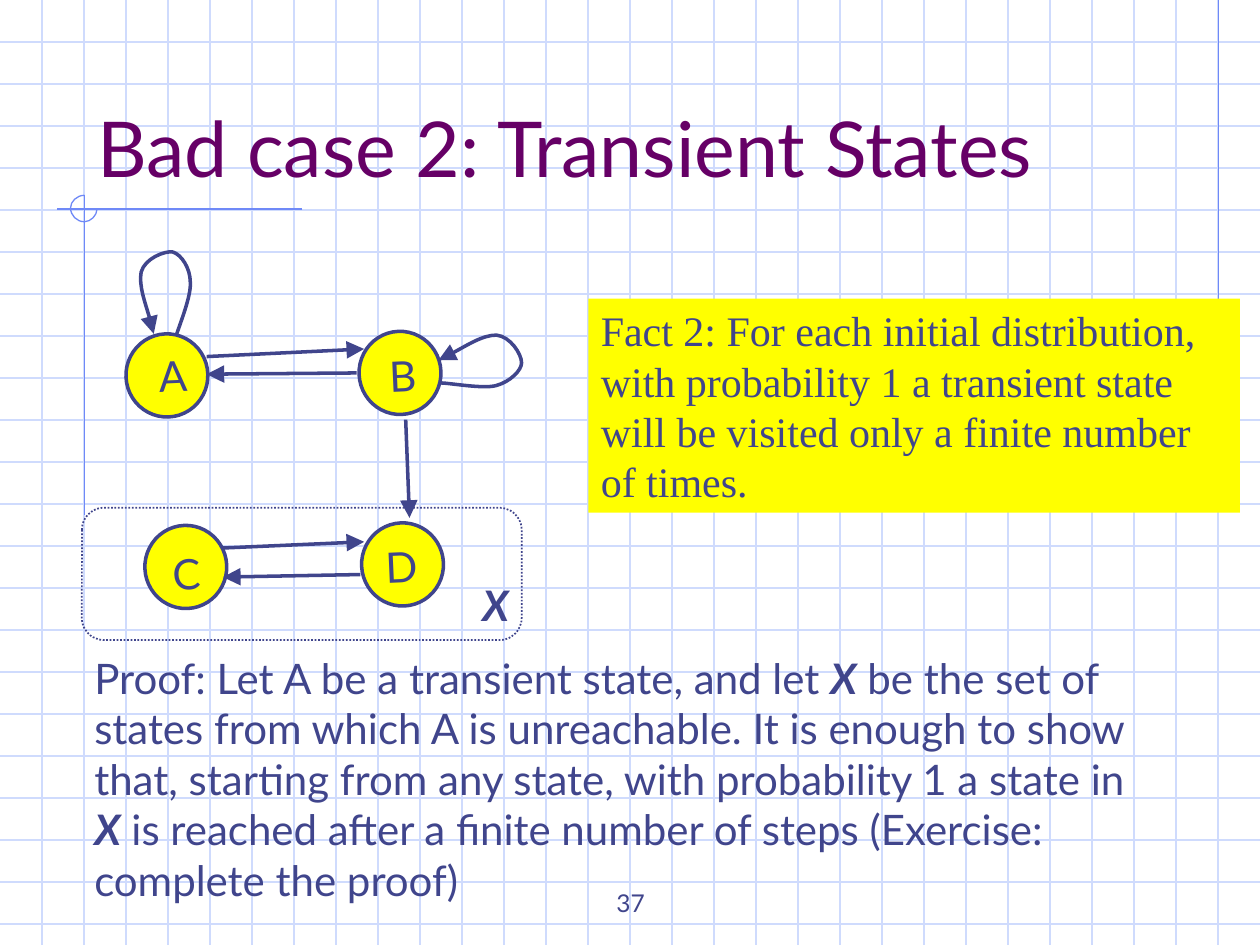
from lxml import etree
from pptx import Presentation
from pptx import util as u
from pptx.dml.color import RGBColor
from pptx.enum import dml, shapes, text
from pptx.oxml.ns import qn

Inches, Pt = u.Inches, u.Pt
INK, YELLOW, GRID, RULE = "40458C", "FFFF00", "CFDBFD", "6F89F7"
TILT = 357.5
rgb = RGBColor.from_string


def draw_path(start, curves, color, width, arrow=False):
    """Draw an unfilled path: straight for one end point, cubic Bezier for control points."""
    if len(curves[0]) == 1:
        (end,) = curves[0]
        sp = s.shapes.add_connector(shapes.MSO_CONNECTOR.STRAIGHT,
                                    *[Inches(v) for v in (*start, *end)])
        etree.SubElement(sp._element.spPr, qn("a:effectLst"))
    else:
        fb = s.shapes.build_freeform(Inches(start[0]), Inches(start[1]))
        fb.add_line_segments([(Inches(c[-1][0]), Inches(c[-1][1])) for c in curves], close=False)
        sp = fb.convert_to_shape()
        # Turn each straight segment into a cubic curve
        for segment, curve in zip(list(sp._element.iter(qn("a:lnTo"))), curves):
            segment.tag = qn("a:cubicBezTo")
            segment.remove(segment[0])
            for x, y in curve:
                etree.SubElement(segment, qn("a:pt"), x=str(Inches(x) - sp.left),
                                 y=str(Inches(y) - sp.top))
        sp.fill.background()
        sp.shadow.inherit = False
    sp.line.color.rgb = rgb(color)
    sp.line.width = Pt(width)
    if arrow:
        etree.SubElement(sp.line._get_or_add_ln(), qn("a:tailEnd"),
                         type="triangle", w="lg", len="lg")


def add_text(box, runs, size=24, font="Lato", wrap=True):
    """Write (words, emphasised) runs in a new text box and return the box."""
    sp = s.shapes.add_textbox(*[Inches(v) for v in box])
    tf = sp.text_frame
    tf.word_wrap = wrap
    for words, emphasised in runs:
        r = tf.paragraphs[0].add_run()
        r.text = words
        r.font.name, r.font.size = font, Pt(size)
        r.font.bold = r.font.italic = emphasised
        r.font.color.rgb = rgb(INK)
    return sp


prs = Presentation()
prs.slide_width, prs.slide_height = Inches(10), Inches(7.5)
s = prs.slides.add_slide(prs.slide_layouts[5])

# Graph paper, every third of an inch
for i in range(1, 23):
    draw_path((0, i / 3), [[(10, i / 3)]], GRID, 0.75)
for i in range(1, 30):
    draw_path((i / 3, 0), [[(i / 3, 7.5)]], GRID, 0.75)

# Margin rules and the open circle where they cross
for start, end in [((9.67, 0), (9.67, 2.58)),
                   ((2.4, 1.66), (0.45, 1.66)),
                   ((0.67, 1.55), (0.67, 4.09))]:
    draw_path(start, [[end]], RULE, 0.75)
draw_path((0.67, 1.55), [[(0.61, 1.55), (0.56, 1.6), (0.56, 1.65)],
                         [(0.56, 1.71), (0.61, 1.76), (0.67, 1.76)],
                         [(0.72, 1.76), (0.77, 1.71), (0.77, 1.66)]], RULE, 0.75)

number = add_text((3.42, 6.83, 3.17, 0.5), [("37", False)], size=14)
number.text_frame.vertical_anchor = text.MSO_ANCHOR.BOTTOM
number.text_frame.paragraphs[0].alignment = text.PP_ALIGN.CENTER

# Title, brought in front of the graph paper
title = s.shapes.title
s.shapes._spTree.append(title._element)
title.left, title.top, title.width, title.height = [Inches(v) for v in (0.67, 0.33, 8.5, 1.25)]
tf = title.text_frame
tf.auto_size = text.MSO_AUTO_SIZE.NONE
tf.vertical_anchor = text.MSO_ANCHOR.BOTTOM
p = tf.paragraphs[0]
p.alignment = text.PP_ALIGN.LEFT
r = p.add_run()
r.text = "Bad case 2: Transient States"
r.font.name, r.font.size = "Lato", Pt(44)
r.font.color.rgb = rgb("660066")

# States: circle corner, then label box
states = {
    "A": ((1, 2.65), (1.16, 2.73, 0.41, 0.5)),
    "B": ((2.85, 2.63), (2.99, 2.73, 0.41, 0.5)),
    "C": ((1.15, 4.17), (1.27, 4.3, 0.41, 0.5)),
    "D": ((2.87, 4.15), (2.96, 4.24, 0.44, 0.5)),
}
for name, ((left, top), label_box) in states.items():
    sp = s.shapes.add_shape(shapes.MSO_SHAPE.OVAL, Inches(left), Inches(top),
                            Inches(0.65), Inches(0.66))
    sp.rotation = TILT
    sp.shadow.inherit = False
    sp.fill.solid()
    sp.fill.fore_color.rgb = rgb(YELLOW)
    sp.line.color.rgb = rgb(INK)
    sp.line.width = Pt(2)
    add_text(label_box, [(name, False)], wrap=False).rotation = TILT

# Transitions between states
for start, end in [((1.64, 2.83), (2.89, 2.77)),
                   ((2.83, 2.96), (1.64, 2.97)),
                   ((3.22, 3.33), (3.25, 4.11)),
                   ((1.76, 4.35), (2.89, 4.3)),
                   ((2.86, 4.56), (1.77, 4.58))]:
    draw_path(start, [[end]], INK, 2, arrow=True)

# Self-loops on A and B
draw_path((1.4, 2.66), [[(1.42, 2.59), (1.52, 2.35), (1.51, 2.24)],
                        [(1.51, 2.13), (1.44, 2.02), (1.37, 2)],
                        [(1.31, 1.99), (1.15, 2.05), (1.12, 2.16)],
                        [(1.1, 2.27), (1.2, 2.55), (1.22, 2.65)]], INK, 2, arrow=True)
draw_path((3.5, 3.04), [[(3.57, 3.04), (3.84, 3.09), (3.94, 3.06)],
                        [(4.05, 3.03), (4.14, 2.94), (4.14, 2.88)],
                        [(4.14, 2.81), (4.05, 2.67), (3.94, 2.66)],
                        [(3.83, 2.66), (3.57, 2.82), (3.48, 2.86)]], INK, 2, arrow=True)

fact = add_text((4.67, 2.37, 5.17, 1.7),
                [("Fact 2: For each initial distribution, with probability 1 a transient state "
                  "will be visited only a finite number of times.", False)],
                font="Times New Roman")
fact.fill.solid()
fact.fill.fore_color.rgb = rgb(YELLOW)

add_text((0.65, 5.13, 8.6, 2.1), [
    ("Proof: Let A be a transient state, and let ", False),
    ("X", True),
    (" be the set of states from which A is unreachable. It is enough to show that, "
     "starting from any state, with probability 1 a state in", False),
    (" X", True),
    (" is reached after a finite number of steps (Exercise: complete the proof)", False),
])

# Set X around C and D
region = s.shapes.add_shape(shapes.MSO_SHAPE.ROUNDED_RECTANGLE,
                            *[Inches(v) for v in (0.65, 4.03, 3.49, 1.05)])
region.shadow.inherit = False
region.fill.background()
region.line.color.rgb = rgb(INK)
region.line.width = Pt(1)
region.line.dash_style = dml.MSO_LINE.ROUND_DOT
add_text((3.73, 4.55, 0.4, 0.5), [("X", True)], wrap=False)

prs.save("out.pptx")
